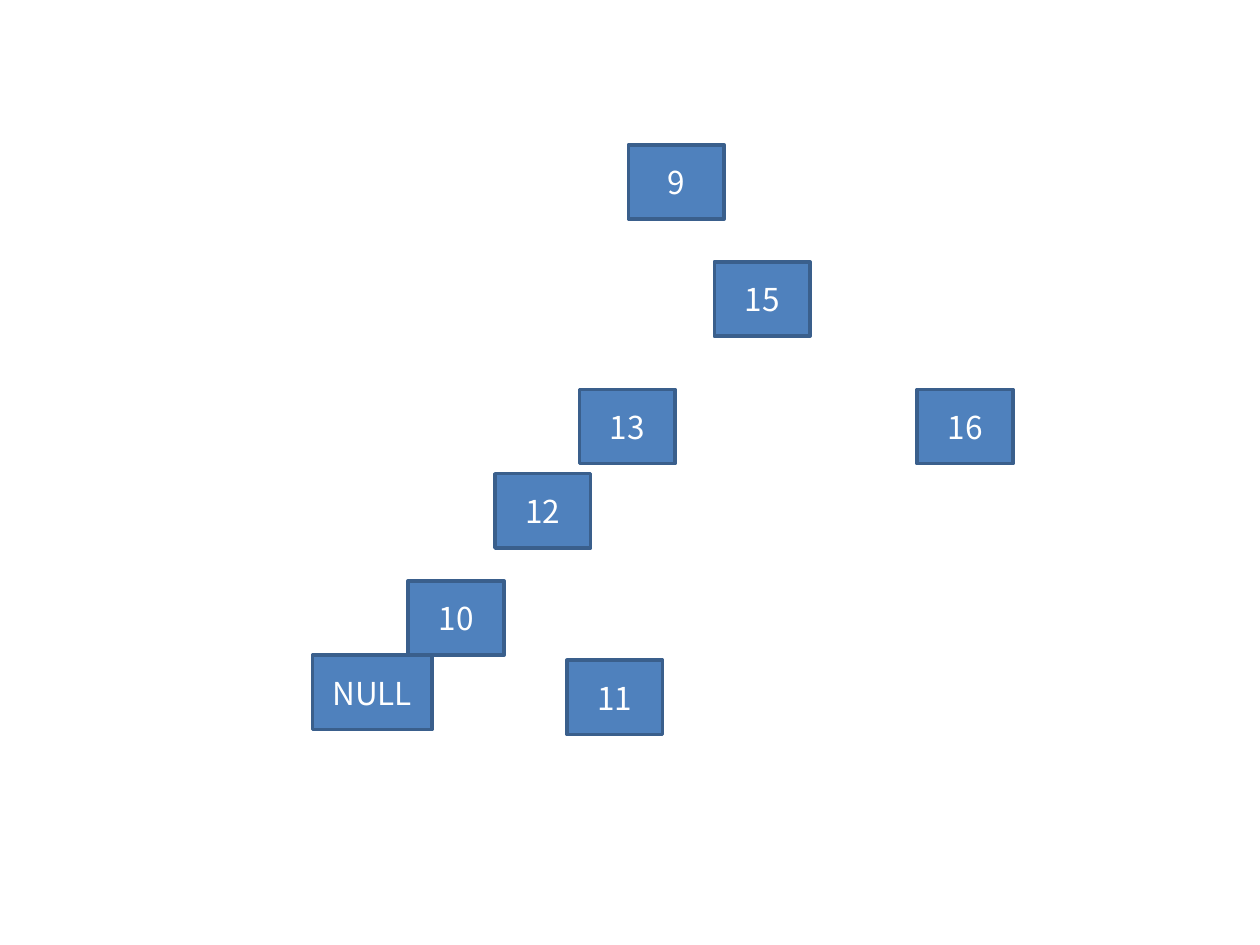
import pptx
import pptx.dml.color
import pptx.enum.shapes
import pptx.enum.text
import pptx.util

Cm = pptx.util.Cm
BLUE = pptx.dml.color.RGBColor(0x4F, 0x81, 0xBD)
EDGE = pptx.dml.color.RGBColor(0x3A, 0x5F, 0x8C)
WHITE = pptx.dml.color.RGBColor(0xFF, 0xFF, 0xFF)
FONT = "Noto Sans CJK KR"
WIDTH, HEIGHT = 1.93, 1.5
NODES = [
    ("15", 8.1, 2.36, WIDTH),
    ("16", 12.19, 4.93, WIDTH),
    ("13", 5.38, 4.93, WIDTH),
    ("9", 6.37, 0, WIDTH),
    ("11", 5.13, 10.39, WIDTH),
    ("12", 3.68, 6.63, WIDTH),
    ("NULL", 0, 10.29, 2.41),
    ("10", 1.93, 8.79, WIDTH),
]


def add_node(slide, label, left, top, width):
    node = slide.shapes.add_shape(
        pptx.enum.shapes.MSO_SHAPE.RECTANGLE,
        Cm(left), Cm(top), Cm(width), Cm(HEIGHT))
    node.shadow.inherit = False
    node.fill.solid()
    node.fill.fore_color.rgb = BLUE
    node.line.color.rgb = EDGE
    node.line.width = pptx.util.Pt(2)
    frame = node.text_frame
    frame.word_wrap = True
    frame.vertical_anchor = pptx.enum.text.MSO_ANCHOR.MIDDLE
    para = frame.paragraphs[0]
    para.alignment = pptx.enum.text.PP_ALIGN.CENTER
    run = para.add_run()
    run.text = label
    run.font.name = FONT
    run.font.size = pptx.util.Pt(18)
    run.font.color.rgb = WHITE


def add_tree(slide, left, top):
    for label, across, down, width in NODES:
        add_node(slide, label, left + across, top + down, width)


deck = pptx.Presentation()
deck.slide_width = Cm(25.4)
deck.slide_height = Cm(19.05)
slide = deck.slides.add_slide(deck.slide_layouts[6])
add_tree(slide, 6.3, 2.92)
deck.save("out.pptx")
